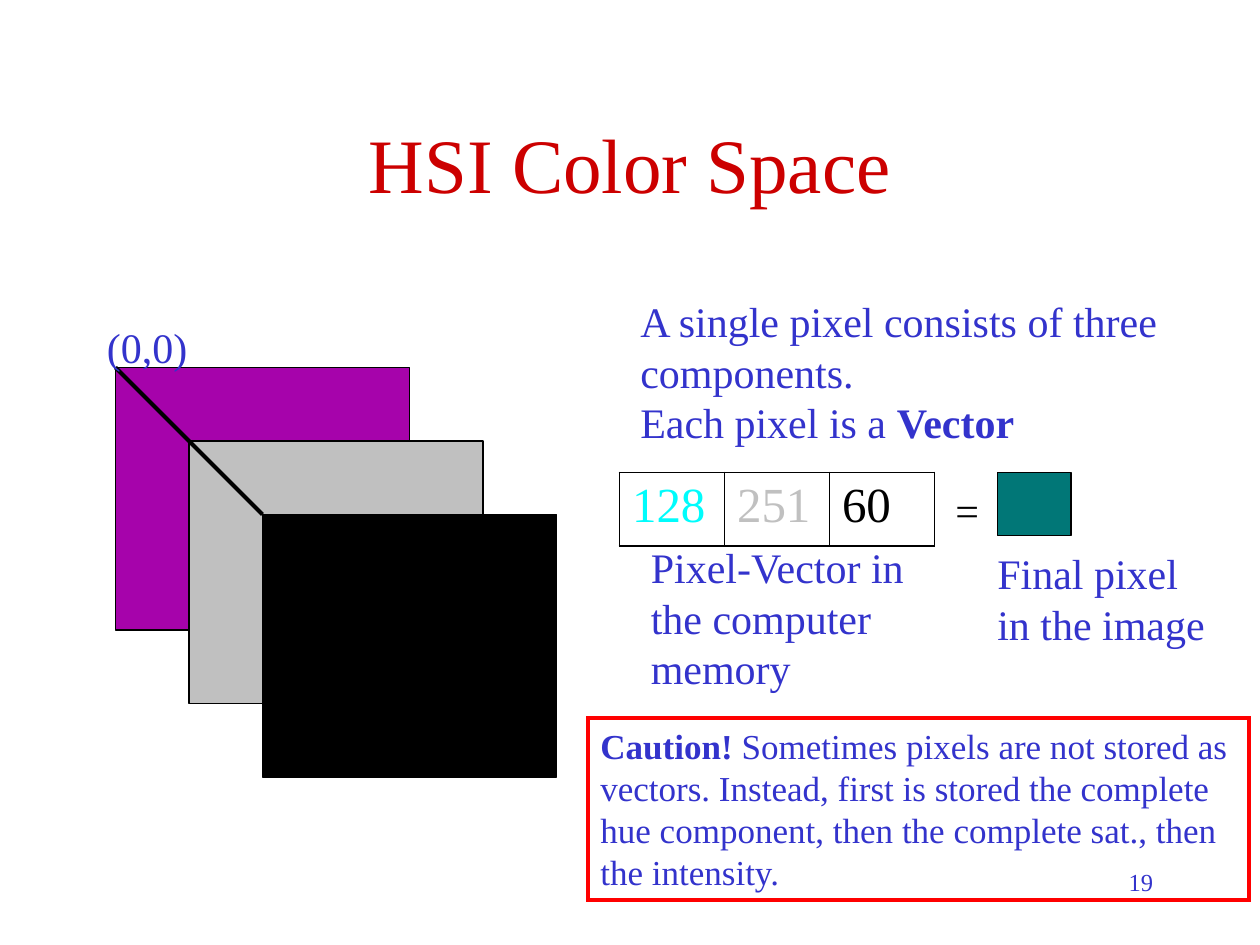
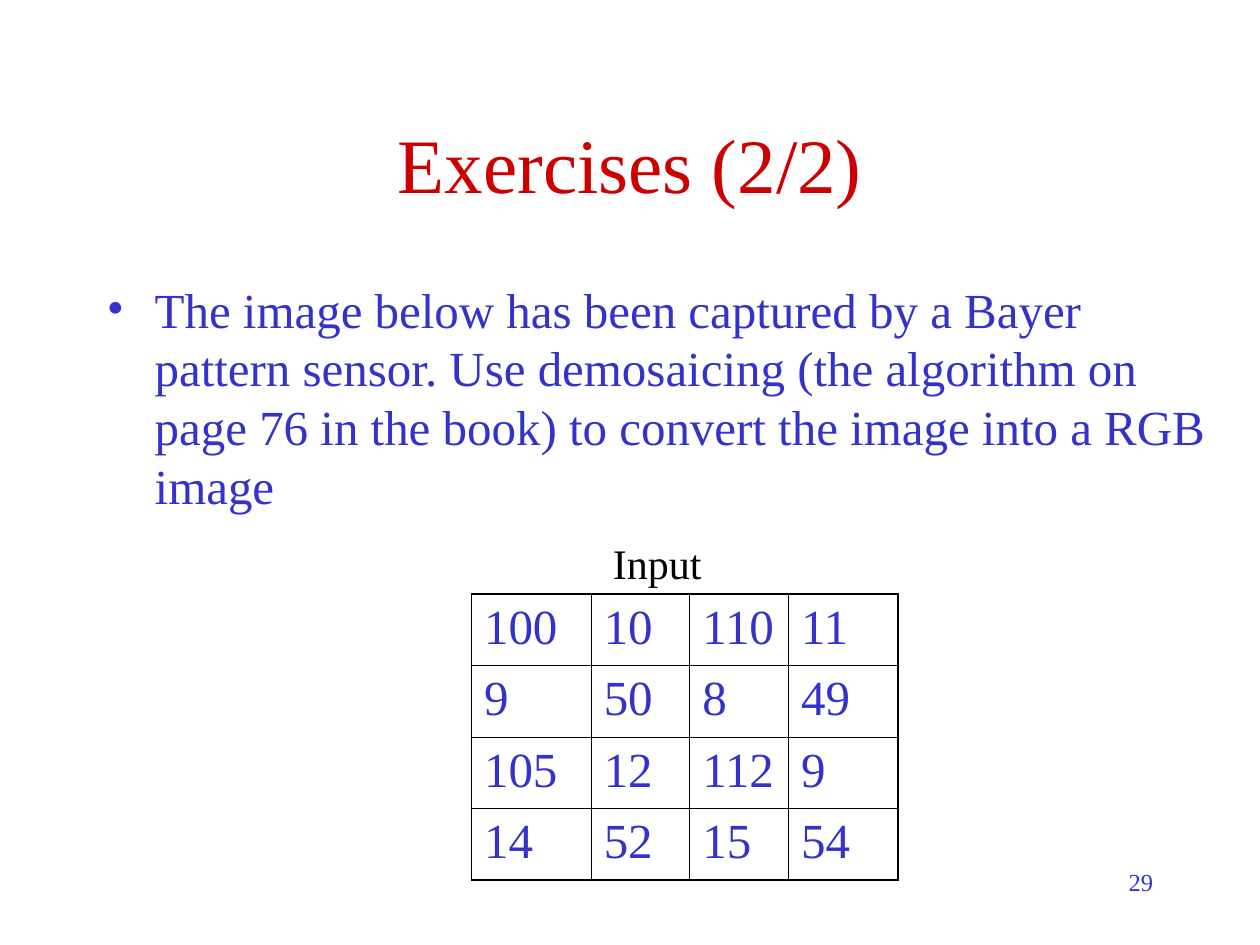
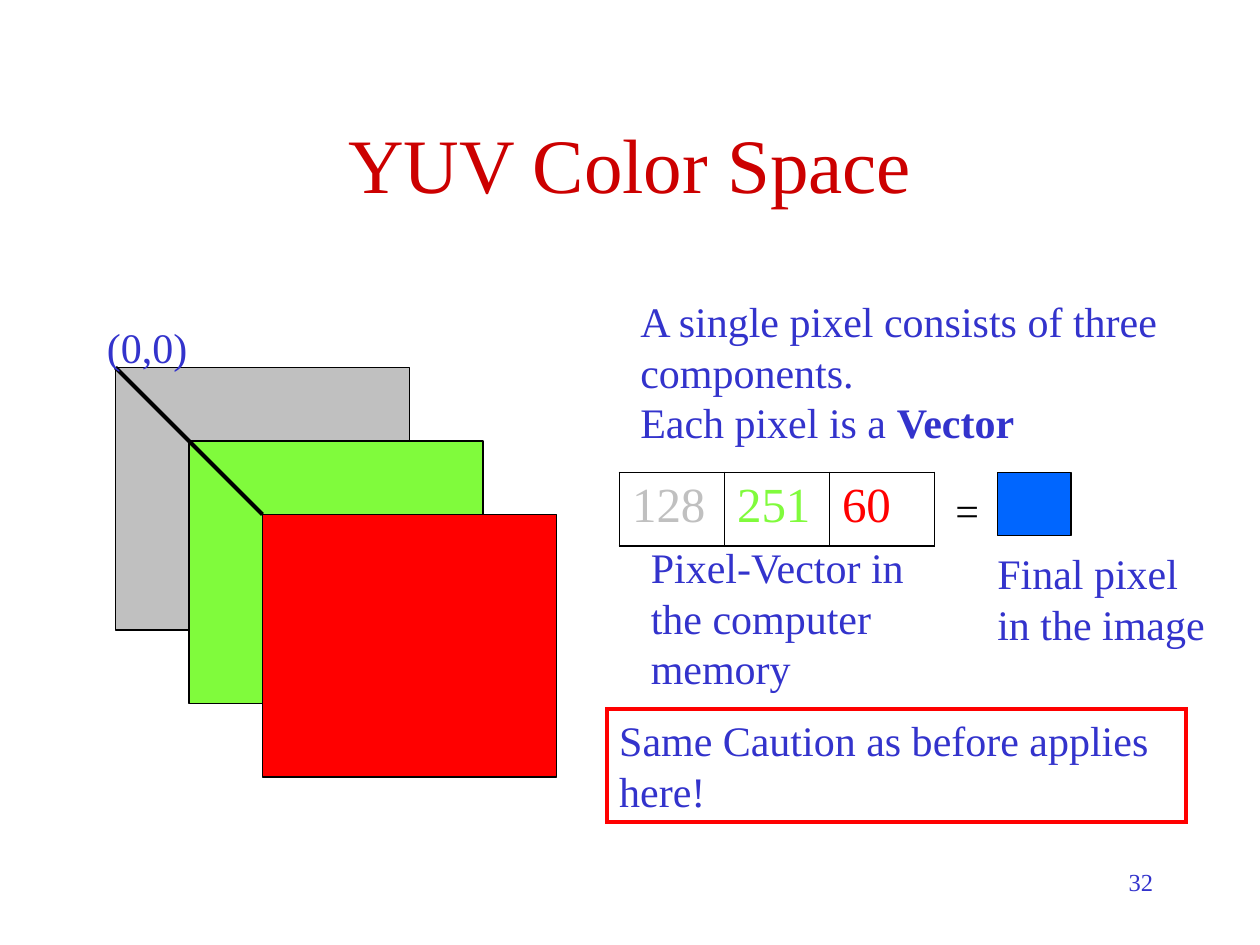
from itertools import product

from lxml.etree import SubElement
from pptx import Presentation
from pptx.dml.color import RGBColor
from pptx.enum.shapes import MSO_CONNECTOR, MSO_SHAPE
from pptx.enum.text import MSO_ANCHOR, PP_ALIGN
from pptx.oxml.ns import qn
from pptx.util import Inches, Pt

FONT = "Times New Roman"
CELL = Inches(1 / 12)  # the slide is a grid of 120 columns and 90 rows

BLUE = RGBColor(0x33, 0x33, 0xCC)
TITLE_RED = RGBColor(0xCC, 0x00, 0x00)
BLACK = RGBColor(0x00, 0x00, 0x00)
RED = RGBColor(0xFF, 0x00, 0x00)
GRAY = RGBColor(0xC0, 0xC0, 0xC0)
PURPLE = RGBColor(0xA6, 0x03, 0xAB)
CYAN = RGBColor(0x00, 0xFC, 0xFC)
TEAL = RGBColor(0x01, 0x77, 0x77)
GREEN = RGBColor(0x80, 0xFB, 0x3C)
PIXEL_BLUE = RGBColor(0x00, 0x66, 0xFF)

OUTER_BORDER, INNER_BORDER = 1.08, 0.45


def grid(*counts):
    return [round(count * CELL) for count in counts]


class Deck:
    def __init__(self):
        self.presentation = Presentation()
        self.presentation.slide_width, self.presentation.slide_height = grid(120, 90)
        self.slide = None

    def start_slide(self, title, number):
        self.slide = self.presentation.slides.add_slide(self.presentation.slide_layouts[6])
        self.text((86, 82, 25, 6), [[number]], size=14, align=PP_ALIGN.RIGHT)
        self.text((9, 8, 102, 15), [[title]], size=44, color=TITLE_RED,
                  align=PP_ALIGN.CENTER, anchor=MSO_ANCHOR.MIDDLE)

    def add_run(self, paragraph, text, size, color, bold=False):
        run = paragraph.add_run()
        run.text = text
        run.font.name = FONT
        run.font.size = Pt(size)
        run.font.bold = bold
        run.font.color.rgb = color

    def text(self, place, paragraphs, size=24, color=BLUE, align=PP_ALIGN.LEFT,
             anchor=MSO_ANCHOR.TOP, frame=None, bullet=False):
        """Each paragraph is a list of runs; a run is a string or a (string, bold) pair."""
        box = self.slide.shapes.add_textbox(*grid(*place))
        if frame is not None:
            box.line.color.rgb = frame
            box.line.width = Pt(2.25)
            SubElement(box.line._ln, qn("a:miter")).set("lim", "800000")
        text_frame = box.text_frame
        text_frame.word_wrap = True
        text_frame.vertical_anchor = anchor
        for index, runs in enumerate(paragraphs):
            paragraph = text_frame.add_paragraph() if index else text_frame.paragraphs[0]
            paragraph.alignment = align
            if bullet:
                self.add_bullet(paragraph)
            for run in runs:
                content, bold = (run, False) if isinstance(run, str) else run
                self.add_run(paragraph, content, size, color, bold)

    def add_bullet(self, paragraph):
        properties = paragraph._p.get_or_add_pPr()
        indent = Inches(0.38)
        properties.set("marL", str(indent))
        properties.set("indent", str(-indent))
        SubElement(properties, qn("a:buFont")).set("typeface", FONT)
        SubElement(properties, qn("a:buChar")).set("char", "•")

    def rectangle(self, place, fill):
        shape = self.slide.shapes.add_shape(MSO_SHAPE.RECTANGLE, *grid(*place))
        shape.shadow.inherit = False
        shape.fill.solid()
        shape.fill.fore_color.rgb = fill
        shape.line.color.rgb = BLACK
        shape.line.width = Pt(0.75)

    def line(self, start, end):
        connector = self.slide.shapes.add_connector(MSO_CONNECTOR.STRAIGHT, *grid(*start, *end))
        connector.line.color.rgb = BLACK
        connector.line.width = Pt(2.25)
        SubElement(connector._element.spPr, qn("a:effectLst"))

    def table(self, left, top, widths, row_height, rows, column_colors):
        """A ruled table with a heavier outer border."""
        row_count, column_count = len(rows), len(widths)
        table = self.slide.shapes.add_table(
            row_count, column_count,
            *grid(left, top, sum(widths), row_height * row_count)).table
        table.first_row = table.horz_banding = False
        for column, width in zip(table.columns, grid(*widths)):
            column.width = width
        for row, column in product(range(row_count), range(column_count)):
            cell = table.cell(row, column)
            self.add_run(cell.text_frame.paragraphs[0], rows[row][column],
                         28, column_colors[column])
            self.add_border(cell, {
                "L": column == 0, "R": column == column_count - 1,
                "T": row == 0, "B": row == row_count - 1})
            cell.fill.background()

    def add_border(self, cell, outer_sides):
        properties = cell._tc.get_or_add_tcPr()
        for side, is_outer in outer_sides.items():
            border = SubElement(properties, qn(f"a:ln{side}"))
            border.set("w", str(Pt(OUTER_BORDER if is_outer else INNER_BORDER)))
            fill = SubElement(border, qn("a:solidFill"))
            SubElement(fill, qn("a:srgbClr")).set("val", str(BLACK))

    def color_space(self, title, number, plane_colors, value_colors, pixel_color):
        self.start_slide(title, number)
        left, top, step = 11, 35, 7
        for index, color in enumerate(plane_colors):
            self.rectangle((left + index * step, top + index * step, 28, 25), color)
        depth = step * (len(plane_colors) - 1)
        self.line((left, top), (left + depth, top + depth))
        self.text((9, 30, 12, 6), [["(0,0)"]])
        self.text((59.8, 27.6, 55.2, 15.6), [
            ["A single pixel consists of three components."],
            ["Each pixel is a ", ("Vector", True)]])
        self.table(59, 45, [10] * 3, 7, [["128", "251", "60"]], value_colors)
        self.text((89.8, 45.6, 5, 6), [["="]], color=BLACK)
        self.rectangle((95, 45, 7, 6), pixel_color)
        self.text((60.8, 51, 27.2, 15.6), [["Pixel-Vector in the computer memory"]])
        self.text((93.8, 51.6, 23.2, 10.8), [["Final pixel in the image"]])


def main():
    deck = Deck()

    deck.color_space("HSI Color Space", "19", [PURPLE, GRAY, BLACK], [CYAN, GRAY, BLACK], TEAL)
    deck.text((56, 68.4, 63, 17.3), [[
        ("Caution! ", True),
        "Sometimes pixels are not stored as vectors. Instead, first is stored the complete "
        "hue component, then the complete sat., then the intensity."]], size=20, frame=RED)

    deck.start_slide("Exercises (2/2)", "29")
    deck.text((9, 26, 107.8, 25.7), [[
        "The image below has been captured by a Bayer pattern sensor. Use demosaicing "
        "(the algorithm on page 76 in the book) to convert the image into a RGB image"]],
        size=28, bullet=True)
    deck.text((57.2, 50.6, 13, 6), [["Input"]], color=BLACK)
    deck.table(44.9, 56.6, [11.4, 9.4, 9.4, 10.4], 6.8, [
        ["100", "10", "110", "11"],
        ["9", "50", "8", "49"],
        ["105", "12", "112", "9"],
        ["14", "52", "15", "54"]], [BLUE] * 4)

    yuv_colors = [GRAY, GREEN, RED]
    deck.color_space("YUV Color Space", "32", yuv_colors, yuv_colors, PIXEL_BLUE)
    deck.text((57.8, 67.5, 55.2, 10.8), [["Same Caution as before applies here!"]], frame=RED)

    deck.presentation.save("out.pptx")


if __name__ == "__main__":
    main()
